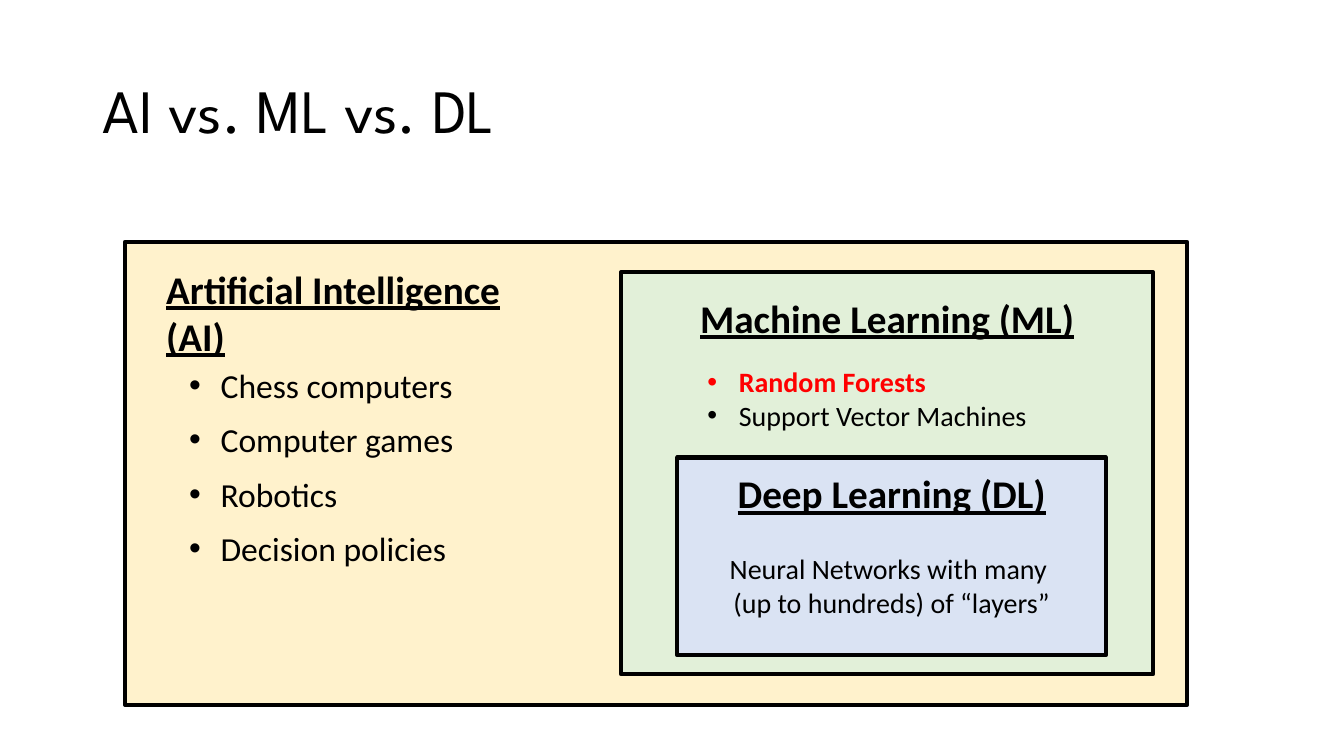
from pptx import Presentation
from pptx.dml.color import RGBColor as RGB
from pptx.enum.shapes import MSO_SHAPE as Kind
from pptx.enum.text import MSO_ANCHOR as Anchor, PP_ALIGN as Align
from pptx.util import Cm, Pt
from lxml.etree import SubElement as Sub


def paint(fill, tint):
    fill.solid()
    fill.fore_color.rgb = RGB.from_string(tint)


def write(area, lines, size, font="Calibri", align=Align.LEFT, head=False, dots=False, after=0):
    box = slide.shapes.add_textbox(*map(Cm, area))
    frame = box.text_frame
    frame.word_wrap = True
    frame.text = "\n".join(lines)
    for para in frame.paragraphs:
        para.alignment = align
        para.space_after = Pt(after)
        for run in para.runs:
            run.font.name = font
            run.font.size = Pt(size)
            run.font.bold = run.font.underline = head
            paint(run.font.fill, "000000")
        if dots:
            props = para._p.get_or_add_pPr()
            props.set("marL", str(Cm(0.79)))
            props.set("indent", str(Cm(-0.79)))
            ns = props.tag.split("}")[0] + "}"
            Sub(props, ns + "buFont", typeface="Arial")
            Sub(props, ns + "buChar", char="•")
    return frame


deck = Presentation()
deck.slide_width, deck.slide_height = Cm(33.87), Cm(19.05)
slide = deck.slides.add_slide(deck.slide_layouts[6])

title = write((2.34, 1.02, 29.21, 3.68), ["AI vs. ML vs. DL"], 44, "League Spartan")
title.vertical_anchor = Anchor.MIDDLE
title.paragraphs[0].line_spacing = 0.9

fields = [
    ((3.15, 6.1, 26.77, 11.66), "FFF2CC"),
    ((15.65, 6.86, 13.41, 10.13), "E2F0D9"),
    ((17.07, 11.53, 10.8, 4.98), "DAE3F3"),
]
for area, tint in fields:
    field = slide.shapes.add_shape(Kind.RECTANGLE, *map(Cm, area))
    field.shadow.inherit = False
    paint(field.fill, tint)
    paint(field.line.fill, "000000")
    field.line.width = Pt(3)

heads = [
    ((3.94, 6.55, 10.57, 1.45), "Artificial Intelligence (AI)", Align.LEFT),
    ((17.07, 7.29, 10.57, 1.45), "Machine Learning (ML)", Align.CENTER),
    ((17.07, 11.71, 10.8, 1.45), "Deep Learning (DL)", Align.CENTER),
]
for area, text, align in heads:
    write(area, [text], 28, align=align, head=True)

uses = ["Chess computers", "Computer games", "Robotics", "Decision policies"]
write((4.52, 9.07, 7.87, 5.44), uses, 24, dots=True, after=10)

tools = write((17.58, 9.07, 9.53, 1.96), ["Random Forests", "Support Vector Machines"], 20, dots=True)
forest = tools.paragraphs[0].runs[0].font
forest.bold = True
paint(forest.fill, "FF0000")

nets = ["Neural Networks with many ", "(up to hundreds) of “layers”"]
write((17.07, 13.77, 10.8, 1.96), nets, 20, align=Align.CENTER)

deck.save("out.pptx")
